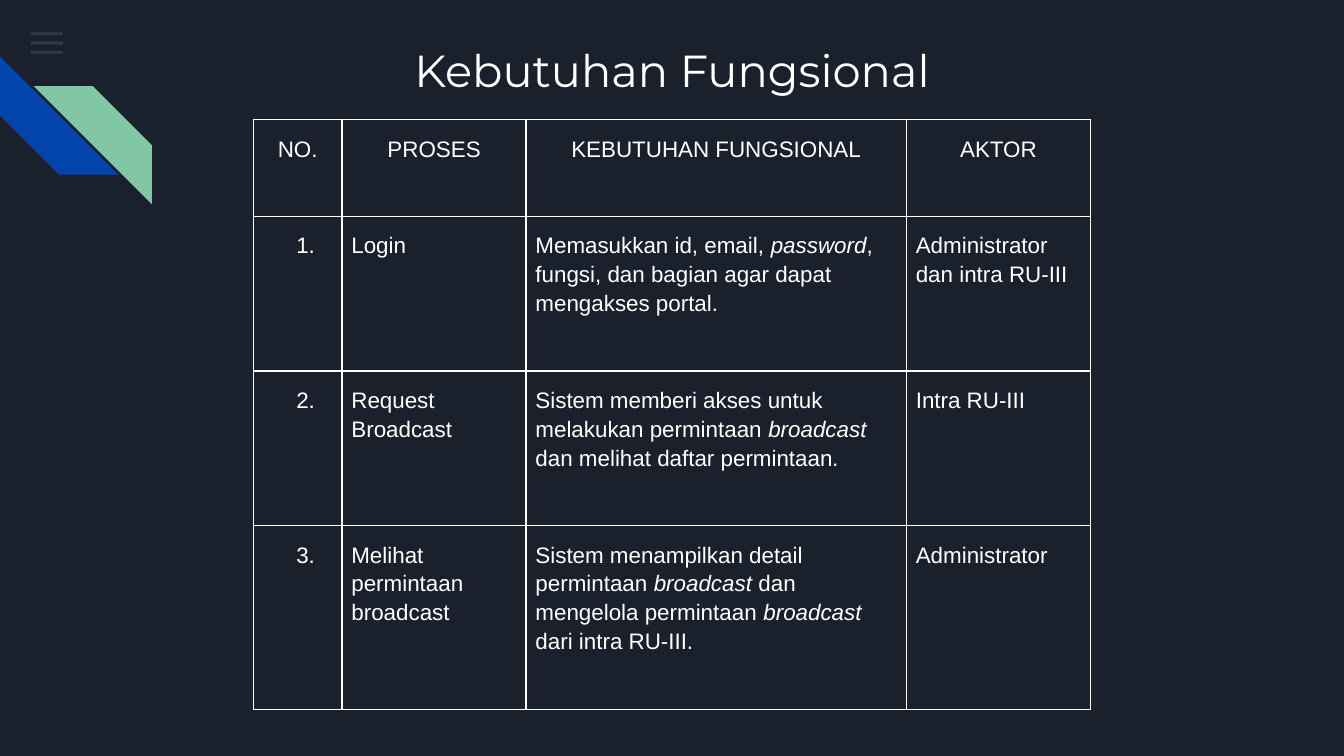
from dataclasses import dataclass

from lxml.etree import SubElement
from pptx import Presentation
from pptx.dml.color import RGBColor as RGB
from pptx.enum.shapes import MSO_SHAPE as Shape
from pptx.enum.text import MSO_ANCHOR as Anchor, PP_ALIGN as Align
from pptx.oxml.ns import qn
from pptx.util import Inches, Pt

SLIDE_W = 10
SLIDE_H = SLIDE_W * 9 / 16
COLUMNS = (0.66, 1.37, 2.83, 1.37)
ROWS = (0.72, 1.15, 1.15, 1.37)
HEADINGS = ("NO.", "PROSES", "KEBUTUHAN FUNGSIONAL", "AKTOR")
REQUIREMENTS = (
    ("Login",
     "Memasukkan id, email, *password*, fungsi, dan bagian agar dapat mengakses portal.",
     "Administrator dan intra RU-III"),
    ("Request Broadcast",
     "Sistem memberi akses untuk melakukan permintaan* broadcast *dan melihat daftar permintaan*.*",
     "Intra RU-III"),
    ("Melihat permintaan broadcast",
     "Sistem menampilkan detail permintaan *broadcast *dan mengelola permintaan *broadcast*"
     " dari intra RU-III.",
     "Administrator"),
)


@dataclass(frozen=True)
class Theme:
    """Colours, fonts and type sizes of the slide."""
    background: str = "1B212C"
    text: str = "FFFFFF"
    menu: str = "55688B"
    blue: str = "0145AC"
    green: str = "82C7A5"
    title_font: str = "Montserrat"
    body_font: str = "Arial"
    title_size: int = 24
    body_size: int = 12


THEME = Theme()


def apply(target, formats):
    """Set every format value on the target."""
    for name, value in formats.items():
        setattr(target, name, value)


def inches(*lengths):
    """Turn numbers into lengths in inches."""
    return [Inches(length) for length in lengths]


def write(paragraph, marked, font_name, size):
    """Fill a paragraph, with text between asterisks in italics."""
    for index, piece in enumerate(marked.split("*")):
        if piece:
            run = paragraph.add_run()
            run.text = piece
            apply(run.font, {"name": font_name, "size": Pt(size), "italic": index % 2 == 1})
            run.font.color.rgb = RGB.from_string(THEME.text)


def add_filled(slide, kind, box, colour, opacity=100):
    """Add a borderless preset shape."""
    shape = slide.shapes.add_shape(kind, *box)
    shape.shadow.inherit = False
    shape.fill.solid()
    shape.fill.fore_color.rgb = RGB.from_string(colour)
    shape.line.fill.background()
    if opacity < 100:
        tint = shape._element.spPr.find(".//" + qn("a:srgbClr"))
        SubElement(tint, qn("a:alpha"), val=str(opacity * 1000))
    return shape


def add_menu(slide):
    """Add the three evenly spaced menu bars."""
    for step in range(3):
        bar = inches(0.23, 0.24 + 0.07 * step, 0.24, 0.02)
        add_filled(slide, Shape.RECTANGLE, bar, THEME.menu, 36)


def add_stripes(slide):
    """Add the two diagonal stripes in the corner."""
    side = 0.88
    blue = add_filled(slide, Shape.DIAGONAL_STRIPE, inches(0, 0.42, side, side), THEME.blue)
    blue.rotation = 270
    green = add_filled(slide, Shape.DIAGONAL_STRIPE, inches(0.25, 0.64, side, side), THEME.green)
    green._element.spPr.xfrm.set("flipH", "1")


def add_title(slide, words):
    """Add the centred slide title."""
    width = 0.45 * SLIDE_W
    box = inches((SLIDE_W - width) / 2, 0.15, width, 0.13 * SLIDE_H)
    frame = slide.shapes.add_textbox(*box).text_frame
    apply(frame, {"word_wrap": True, "vertical_anchor": Anchor.MIDDLE,
                  **{f"margin_{edge}": Inches(0.1) for edge in ("left", "top", "right", "bottom")}})
    frame.paragraphs[0].alignment = Align.CENTER
    write(frame.paragraphs[0], words, THEME.title_font, THEME.title_size)


def draw_borders(cell):
    """Draw a one-point line on every side of a cell."""
    properties = cell._tc.get_or_add_tcPr()
    for side in "LRTB":
        line = SubElement(properties, qn(f"a:ln{side}"), w=str(Pt(1)))
        SubElement(SubElement(line, qn("a:solidFill")), qn("a:srgbClr"), val=THEME.text)


def fill_cell(cell, words, alignment, hanging):
    """Format one cell and write its text."""
    apply(cell, {"margin_left": Inches(0.07), "margin_right": Inches(0.07),
                 "margin_top": Inches(0.1), "margin_bottom": Inches(0.1)})
    draw_borders(cell)
    cell.fill.background()
    paragraph = cell.text_frame.paragraphs[0]
    apply(paragraph, {"alignment": alignment, "line_spacing": 1.15, "space_after": Pt(12)})
    if hanging:
        properties = paragraph._p.get_or_add_pPr()
        properties.set("marL", str(Inches(0.5)))
        properties.set("indent", str(-Inches(0.25)))
    write(paragraph, words, THEME.body_font, THEME.body_size)


def add_requirements(slide):
    """Add the table of functional requirements."""
    width, height = sum(COLUMNS), sum(ROWS)
    box = inches((SLIDE_W - width) / 2, 0.89, width, height)
    table = slide.shapes.add_table(len(ROWS), len(COLUMNS), *box).table
    apply(table, {"first_row": False, "horz_banding": False})
    for column, size in zip(table.columns, COLUMNS):
        column.width = Inches(size)
    for row, size in zip(table.rows, ROWS):
        row.height = Inches(size)
    numbered = [(f"{number}.", *entry) for number, entry in enumerate(REQUIREMENTS, 1)]
    for r, entry in enumerate([HEADINGS, *numbered]):
        for c, words in enumerate(entry):
            fill_cell(table.cell(r, c), words, Align.LEFT if r else Align.CENTER, r and not c)


def main():
    """Build and save the slide."""
    deck = Presentation()
    apply(deck, {"slide_width": Inches(SLIDE_W), "slide_height": Inches(SLIDE_H)})
    slide = deck.slides.add_slide(deck.slide_layouts[6])
    slide.background.fill.solid()
    slide.background.fill.fore_color.rgb = RGB.from_string(THEME.background)
    add_menu(slide)
    add_stripes(slide)
    add_title(slide, "Kebutuhan Fungsional")
    add_requirements(slide)
    deck.save("out.pptx")


if __name__ == "__main__":
    main()
